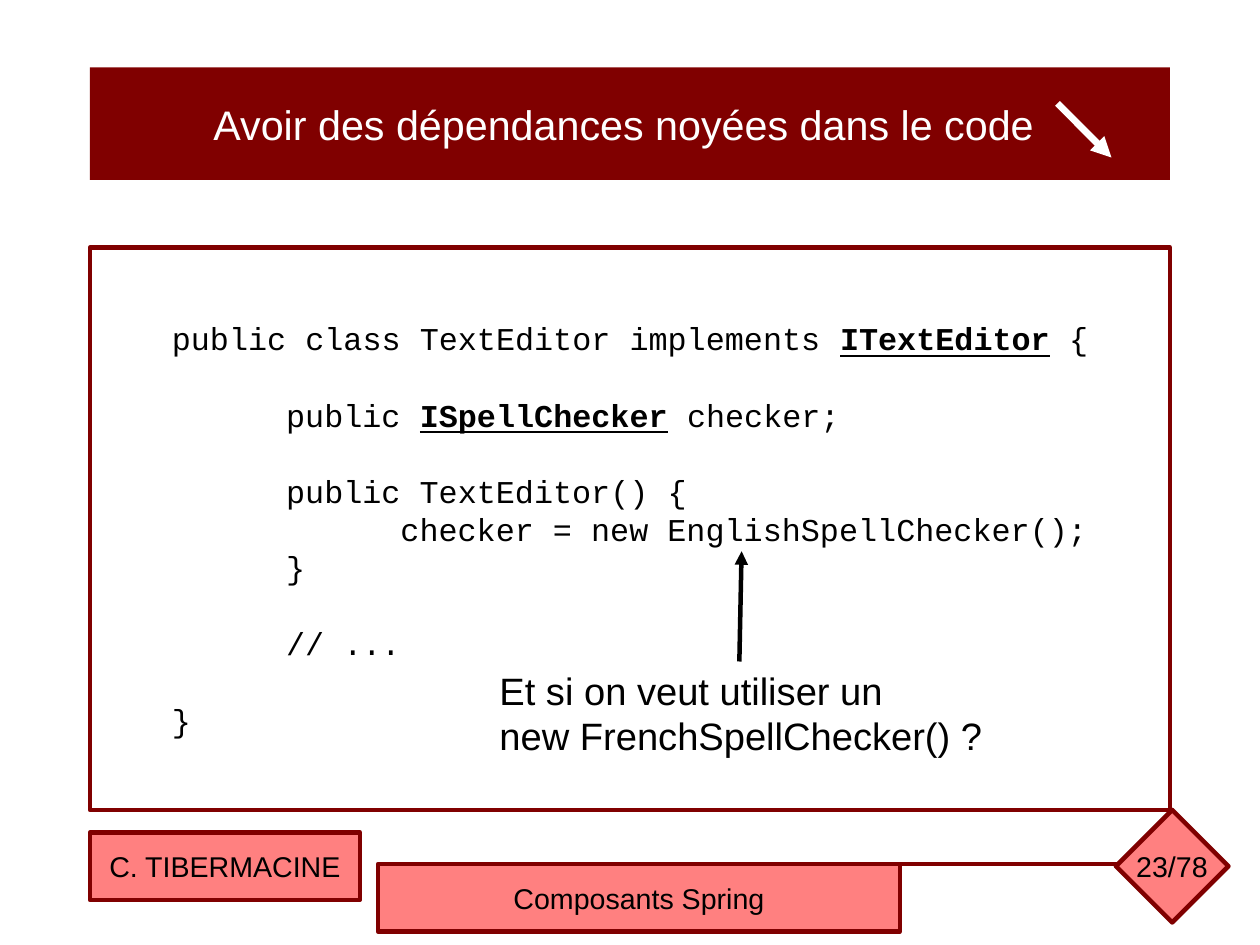
from lxml import etree
from pptx import Presentation
from pptx import util as u
from pptx.dml.color import RGBColor
from pptx.enum import shapes, text
from pptx.oxml.ns import qn

THEME = {
    "maroon": RGBColor(0x80, 0, 0), "pink": RGBColor(0xFF, 0x80, 0x80),
    "white": RGBColor(0xFF, 0xFF, 0xFF), "black": RGBColor(0, 0, 0),
    "sans": "Arial", "mono": "Courier New",
    "title": 26, "note": 24, "code": 20, "footer": 18, "rule": 2.83, "arrow": 4.25,
}

prs = Presentation()
prs.slide_width, prs.slide_height = u.Cm(28), u.Cm(21)
slide = prs.slides.add_slide(prs.slide_layouts[6])

# Grid of 28 columns by 21 rows
COL, ROW = prs.slide_width / 28, prs.slide_height / 21


def place(col, row, cols, rows):
    return [int(n) for n in (col * COL, row * ROW, cols * COL, rows * ROW)]


def write(box, lines, size, color="black", font="sans", align=text.PP_ALIGN.LEFT):
    """Fill a box; parts between asterisks are bold and underlined."""
    frame = box.text_frame
    frame.word_wrap = True
    for i, line in enumerate(lines):
        p = frame.paragraphs[0] if i == 0 else frame.add_paragraph()
        p.alignment = align
        for j, part in enumerate(line.split("*")):
            run = p.add_run()
            run.text = part
            run.font.name, run.font.size = THEME[font], u.Pt(THEME[size])
            run.font.color.rgb = THEME[color]
            run.font.bold = run.font.underline = j % 2 == 1
    return frame


# Lines and arrows: start, end, colour, width, arrowhead
links = [
    (25, 19.2, 18.5, 19.2, "maroon", "rule", False),
    (23.5, 2.3, 24.7, 3.5, "white", "arrow", True),
    (16.43, 14.7, 16.48, 12.25, "black", "rule", True),
]
connectors = []
for x1, y1, x2, y2, color, width, head in links:
    link = slide.shapes.add_connector(shapes.MSO_CONNECTOR.STRAIGHT, *place(x1, y1, x2, y2))
    link.line.color.rgb, link.line.width = THEME[color], u.Pt(THEME[width])
    ln = link.line._get_or_add_ln()
    etree.SubElement(ln, qn("a:round"))
    if head:
        etree.SubElement(ln, qn("a:tailEnd"), type="triangle")
    etree.SubElement(link._element.spPr, qn("a:effectLst"))
    connectors.append(link)

# Title bar, code frame, footer boxes and page diamond
RECT, DIAMOND = shapes.MSO_SHAPE.RECTANGLE, shapes.MSO_SHAPE.DIAMOND
panels = [
    (RECT, (2, 1.5, 24, 2.5), "maroon", None),
    (RECT, (2, 5.5, 24, 12.5), None, "maroon"),
    (RECT, (2, 18.5, 6, 1.5), "pink", "maroon"),
    (DIAMOND, (24.8, 18, 2.5, 2.5), "pink", "maroon"),
    (RECT, (8.4, 19.2, 11.6, 1.5), "pink", "maroon"),
]
drawn = []
for kind, cells, fill, outline in panels:
    panel = slide.shapes.add_shape(kind, *place(*cells))
    panel.shadow.inherit = False
    if fill:
        panel.fill.solid()
        panel.fill.fore_color.rgb = THEME[fill]
    else:
        panel.fill.background()
    if outline:
        panel.line.color.rgb, panel.line.width = THEME[outline], u.Pt(THEME["rule"])
        etree.SubElement(panel.line._get_or_add_ln(), qn("a:round"))
    else:
        panel.line.fill.background()
    panel.text_frame.vertical_anchor = text.MSO_ANCHOR.MIDDLE
    drawn.append(panel)
title, code, author, diamond, course = drawn

# Arrows lie above the panels
for arrow in connectors[1:]:
    slide.shapes._spTree.append(arrow._element)

# Title and footer wording
CENTER = text.PP_ALIGN.CENTER
heading = write(title, ["Avoir des dépendances noyées dans le code"], "title", "white", align=CENTER)
heading.margin_right = int(0.5 * COL)
write(author, ["C. TIBERMACINE"], "footer", align=CENTER)
write(course, ["Composants Spring"], "footer", align=CENTER)

# Code listing, with one empty line of space before each new block
listing = [
    "public class TextEditor implements *ITextEditor* {",
    "\tpublic *ISpellChecker* checker;",
    "\tpublic TextEditor() {",
    "\t\tchecker = new EnglishSpellChecker();",
    "\t}",
    "\t// ...",
    "}",
]
block_starts = {1, 2, 5, 6}
source = write(code, listing, "code", font="mono")
source.margin_left, source.margin_right = int(1.82 * COL), 0
for i, paragraph in enumerate(source.paragraphs):
    tabs = etree.SubElement(paragraph._p.get_or_add_pPr(), qn("a:tabLst"))
    for level in (1, 2):
        etree.SubElement(tabs, qn("a:tab"), pos=str(u.Inches(level)), algn="l")
    paragraph.line_spacing = u.Pt(24)
    if i in block_starts:
        paragraph.space_before = u.Pt(24)

# Question under the arrow
question = slide.shapes.add_textbox(*place(10.85, 14.7, 11.23, 2.16))
asked = write(question, ["Et si on veut utiliser un", "new FrenchSpellChecker() ?"], "note")
asked.word_wrap = False

# Page number
page = slide.shapes.add_textbox(*place(25, 18.75, 2.3, 2.4))
write(page, ["23/78"], "footer")

prs.save("out.pptx")
